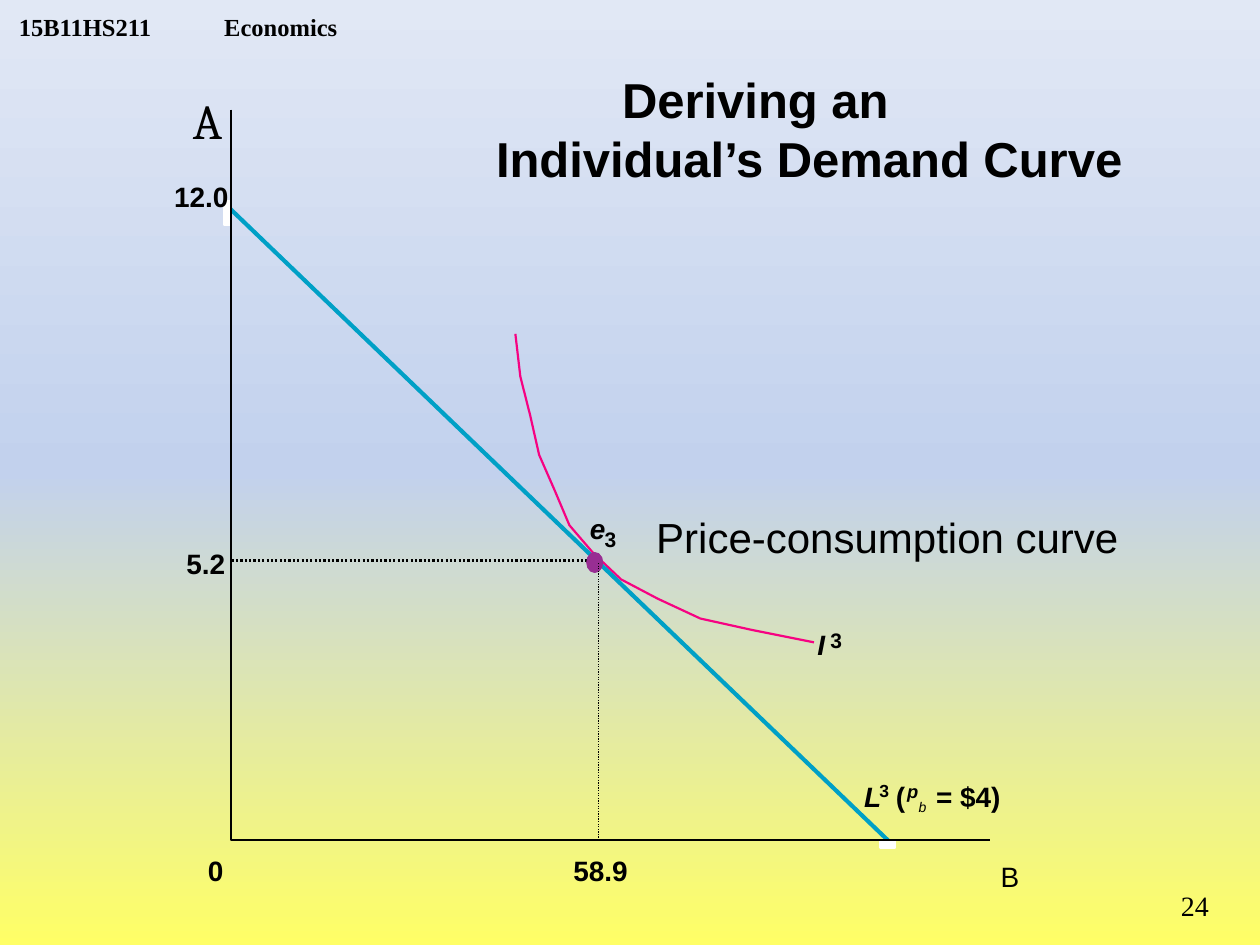
from copy import deepcopy

from pptx import Presentation
from pptx.dml.color import RGBColor
from pptx.enum.dml import MSO_LINE
from pptx.enum.shapes import MSO_CONNECTOR, MSO_SHAPE
from pptx.enum.text import MSO_ANCHOR, PP_ALIGN
from pptx.oxml.ns import qn
from pptx.util import Cm, Pt
from lxml.etree import SubElement

BLACK, WHITE = "000000", "FFFFFF"
BLUE, PINK, PURPLE = "00A0C6", "F60282", "982E93"
BOLD = {"bold": True}
ITALIC = {"bold": True, "italic": True}

AXIS_X, AXIS_Y = 4.65, 16.94
INDIFFERENCE = [(10.39, 6.73), (10.49, 7.59), (10.69, 8.38), (10.87, 9.17),
                (11.18, 9.88), (11.48, 10.59), (11.96, 11.15), (12.52, 11.68),
                (13.26, 12.07), (14.12, 12.47), (15.16, 12.7), (16.41, 12.95)]

# text, left, top, width, height, size, font format
LABELS = [
    ("5.2", 3.76, 11.02, 0.79, 0.69, 16, BOLD),
    ("12.0", 3.51, 3.61, 1.12, 0.69, 16, BOLD),
    ("0", 4.19, 17.2, 0.33, 0.69, 16, BOLD),
    ("58.9", 11.56, 17.2, 2.82, 0.69, 16, BOLD),
    ("L", 17.42, 15.72, 0.36, 0.69, 16, ITALIC),
    ("3", 17.73, 15.72, 0.2, 0.43, 10, BOLD),
    ("(", 18.06, 15.72, 0.2, 0.69, 16, BOLD),
    ("p", 18.29, 15.72, 0.23, 0.46, 10.5, ITALIC),
    ("b", 18.52, 16.1, 0.15, 0.33, 8, {"italic": True}),
    ("= $4)", 18.87, 15.72, 1.32, 0.69, 16, BOLD),
    ("e", 11.89, 10.31, 0.33, 0.69, 16, ITALIC),
    ("3", 12.19, 10.62, 0.23, 0.51, 12, BOLD),
    ("I", 16.48, 12.65, 0.15, 0.69, 16, ITALIC),
    ("3", 16.74, 12.65, 0.23, 0.51, 12, BOLD),
    ("B", 20.17, 17.32, 0.38, 0.69, 16, {}),
    ("Price-consumption curve", 13.23, 10.31, 9.42, 1.02, 24, {}),
    ("A", 3.89, 1.83, 0.71, 1.19, 28, {"name": "Cambria"}),
]


def rgb(color):
    return RGBColor.from_string(color)


def set_background(s, stops):
    fill = s.background.fill
    fill.gradient()
    fill.gradient_angle = 90
    gs_list = s._element.xpath(".//a:gsLst")[0]
    while len(gs_list) < len(stops):
        gs_list.append(deepcopy(gs_list[0]))
    for stop, (position, color) in zip(fill.gradient_stops, stops):
        stop.position = position
        stop.color.rgb = rgb(color)


def add_text(s, text, left, top, width, height, size, font,
             margins=(0, 0), wrap=False, tab=None, anchor=MSO_ANCHOR.TOP,
             align=PP_ALIGN.LEFT):
    box = s.shapes.add_textbox(Cm(left), Cm(top), Cm(width), Cm(height))
    tf = box.text_frame
    tf.word_wrap = wrap
    tf.vertical_anchor = anchor
    tf.margin_left = tf.margin_right = Cm(margins[0])
    tf.margin_top = tf.margin_bottom = Cm(margins[1])
    tf.text = text
    for p in tf.paragraphs:
        p.alignment = align
        if tab:
            tabs = SubElement(p._p.get_or_add_pPr(), qn("a:tabLst"))
            SubElement(tabs, qn("a:tab"), pos=str(Cm(tab)), algn="l")
        for r in p.runs:
            r.font.color.rgb = rgb(BLACK)
            style = {"name": "Arial", "size": Pt(size), **font}
            for key, value in style.items():
                setattr(r.font, key, value)


def set_line(sp, color, width):
    sp.line.color.rgb = rgb(color)
    sp.line.width = Pt(width)


def add_line(s, x1, y1, x2, y2, color, width, dash=None):
    line = s.shapes.add_connector(MSO_CONNECTOR.STRAIGHT,
                                  Cm(x1), Cm(y1), Cm(x2), Cm(y2))
    set_line(line, color, width)
    if dash:
        line.line.dash_style = dash
    SubElement(line._element.spPr, qn("a:effectLst"))
    return line


def add_shape(s, kind, left, top, width, height, color):
    sp = s.shapes.add_shape(kind, Cm(left), Cm(top), Cm(width), Cm(height))
    sp.shadow.inherit = False
    sp.fill.solid()
    sp.fill.fore_color.rgb = rgb(color)
    set_line(sp, color, 1.25)
    return sp


def add_path(s, points, color):
    start, *rest = [(Cm(x), Cm(y)) for x, y in points]
    builder = s.shapes.build_freeform(*start)
    builder.add_line_segments(rest, close=False)
    sp = builder.convert_to_shape()
    sp.shadow.inherit = False
    sp.fill.background()
    set_line(sp, color, 1.25)


def main():
    prs = Presentation()
    prs.slide_width, prs.slide_height = Cm(25.4), Cm(19.05)
    s = prs.slides.add_slide(prs.slide_layouts[6])
    set_background(s, [(0, "FFFF66"), (0.5, "C2D1ED"), (1, "E1E8F5")])

    # Course header and title
    add_text(s, "15B11HS211\tEconomics", 0.13, 0, 8.13, 0.84, 14,
             {"name": "Times New Roman", "bold": True}, margins=(0.25, 0),
             wrap=True, tab=4.14, anchor=MSO_ANCHOR.BOTTOM)
    add_text(s, "\tDeriving an\nIndividual’s Demand Curve", 9.75, 1.27,
             13.34, 2.62, 28, BOLD, margins=(0.25, 0.13), wrap=True, tab=2.54)

    # Indifference curve and budget line with its end marks
    add_path(s, INDIFFERENCE, PINK)
    budget = add_line(s, 4.6, 4.17, 17.9, AXIS_Y, BLUE, 2.38)
    end_mark = add_shape(s, MSO_SHAPE.RECTANGLE, 17.75, AXIS_Y, 0.3, 0.15, WHITE)
    budget.end_connect(end_mark, 0)
    add_shape(s, MSO_SHAPE.RECTANGLE, 4.52, 4.06, 0.13, 0.48, WHITE)

    # Axes and guides to the optimum
    add_line(s, 4.67, 11.3, 12.04, 11.3, BLACK, 1.25, MSO_LINE.ROUND_DOT)
    add_path(s, [(AXIS_X, 2.21), (AXIS_X, AXIS_Y), (19.96, AXIS_Y)], BLACK)
    add_shape(s, MSO_SHAPE.OVAL, 11.84, 11.15, 0.3, 0.38, PURPLE)
    add_line(s, 12.07, 11.35, 12.07, AXIS_Y, BLACK, 0.75, MSO_LINE.ROUND_DOT)

    # Diagram labels
    for label in LABELS:
        add_text(s, *label)

    # Page number
    add_text(s, "24", 22.66, 17.78, 1.96, 1.02, 16,
             {"name": "Times New Roman"}, margins=(0.25, 0.13), wrap=True,
             align=PP_ALIGN.RIGHT)

    prs.save("out.pptx")


if __name__ == "__main__":
    main()
